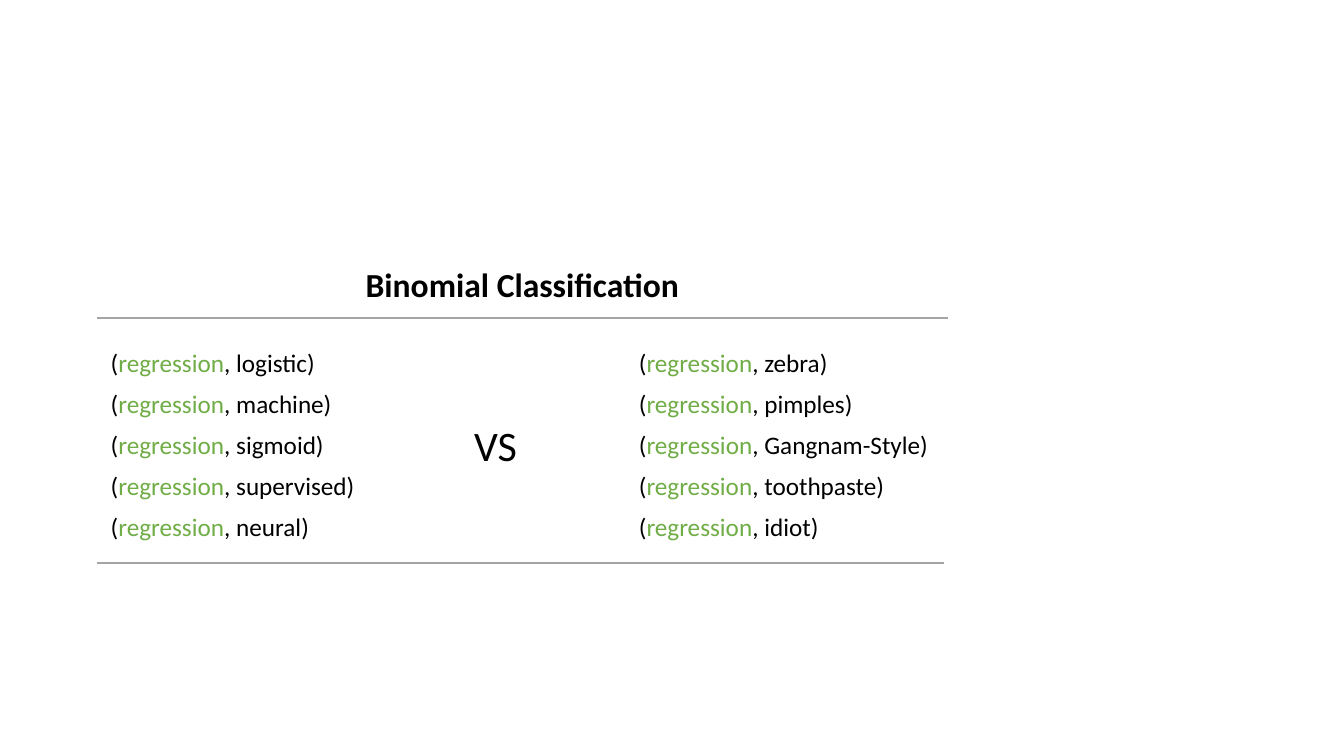
from dataclasses import dataclass

from lxml import etree
from pptx import Presentation
from pptx.dml.color import RGBColor
from pptx.enum.shapes import MSO_CONNECTOR
from pptx.enum.text import MSO_AUTO_SIZE, PP_ALIGN
from pptx.oxml.ns import qn
from pptx.util import Pt

STRAIGHT = MSO_CONNECTOR.STRAIGHT
GROW = MSO_AUTO_SIZE.SHAPE_TO_FIT_TEXT
LEFT, CENTER = PP_ALIGN.LEFT, PP_ALIGN.CENTER

# Content
TITLE = "Binomial Classification"
VERSUS = "VS"
TARGET = "regression"
RELATED = ["logistic", "machine", "sigmoid", "supervised", "neural"]
UNRELATED = ["zebra", "pimples", "Gangnam-Style", "toothpaste", "idiot"]

# Layout in px: 96 to the inch
PX = 9525
SLIDE_W, SLIDE_H = 1280, 720
PAIR_TOP, PAIR_STEP, PAIR_W, PAIR_H = 326, 39, 287, 38
WIDE_W, LONG_WORD = 304, 12
COLUMNS = [(96, RELATED), (599, UNRELATED)]
TITLE_BOX = (92, 247, 811, 48)
VERSUS_BOX = (442, 395, 67, 59)
TITLE_RULE = (92, 903, 303)
BOTTOM_RULES = [(594, 899, 536), (92, 610, 536)]


@dataclass(frozen=True)
class Theme:
    font: str = "Calibri"
    text: RGBColor = RGBColor(0x00, 0x00, 0x00)
    target: RGBColor = RGBColor(0x70, 0xAD, 0x47)
    rule: RGBColor = RGBColor(0xA5, 0xA5, 0xA5)
    rule_pt: float = 1.5
    pair_pt: int = 18
    title_pt: int = 24
    versus_pt: int = 30


THEME = Theme()


def add_text(shapes, place, spans, size, bold=False, align=LEFT):
    """Add a one-paragraph box from (text, colour) spans."""
    box = shapes.add_textbox(*(value * PX for value in place))
    frame = box.text_frame
    frame.word_wrap = True
    frame.auto_size = GROW
    para = frame.paragraphs[0]
    para.alignment = align
    for text, color in spans:
        span = para.add_run()
        span.text = text
        span.font.name = THEME.font
        span.font.size = Pt(size)
        span.font.bold = bold
        span.font.color.rgb = color


def add_rule(shapes, start, end, y):
    rule = shapes.add_connector(STRAIGHT, start * PX, y * PX, end * PX, y * PX)
    rule.line.color.rgb = THEME.rule
    rule.line.width = Pt(THEME.rule_pt)
    etree.SubElement(rule._element.spPr, qn("a:effectLst"))


def add_pairs(shapes, left, words):
    for row, word in enumerate(words):
        width = WIDE_W if len(word) > LONG_WORD else PAIR_W
        place = (left, PAIR_TOP + row * PAIR_STEP, width, PAIR_H)
        spans = [("(", THEME.text), (TARGET, THEME.target), (f", {word})", THEME.text)]
        add_text(shapes, place, spans, THEME.pair_pt)


def main():
    deck = Presentation()
    deck.slide_width, deck.slide_height = SLIDE_W * PX, SLIDE_H * PX
    page = deck.slides.add_slide(deck.slide_layouts[6])

    # Word pairs, one group per column
    for left, words in COLUMNS:
        add_pairs(page.shapes.add_group_shape().shapes, left, words)

    # Heading with its rule
    heading = page.shapes.add_group_shape().shapes
    add_rule(heading, *TITLE_RULE)
    add_text(heading, TITLE_BOX, [(TITLE, THEME.text)], THEME.title_pt, True, CENTER)

    # Middle label and bottom rules
    add_text(page.shapes, VERSUS_BOX, [(VERSUS, THEME.text)], THEME.versus_pt)
    for rule in BOTTOM_RULES:
        add_rule(page.shapes, *rule)

    deck.save("out.pptx")


if __name__ == "__main__":
    main()
